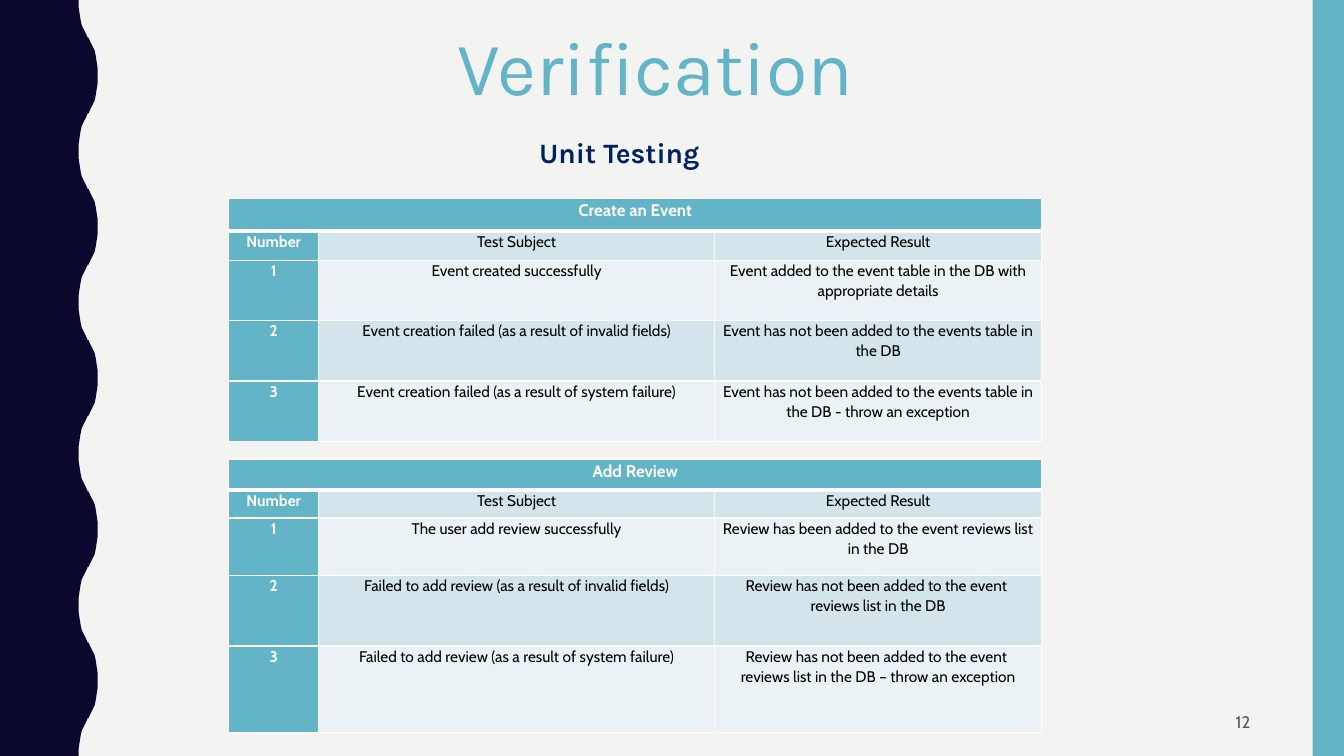
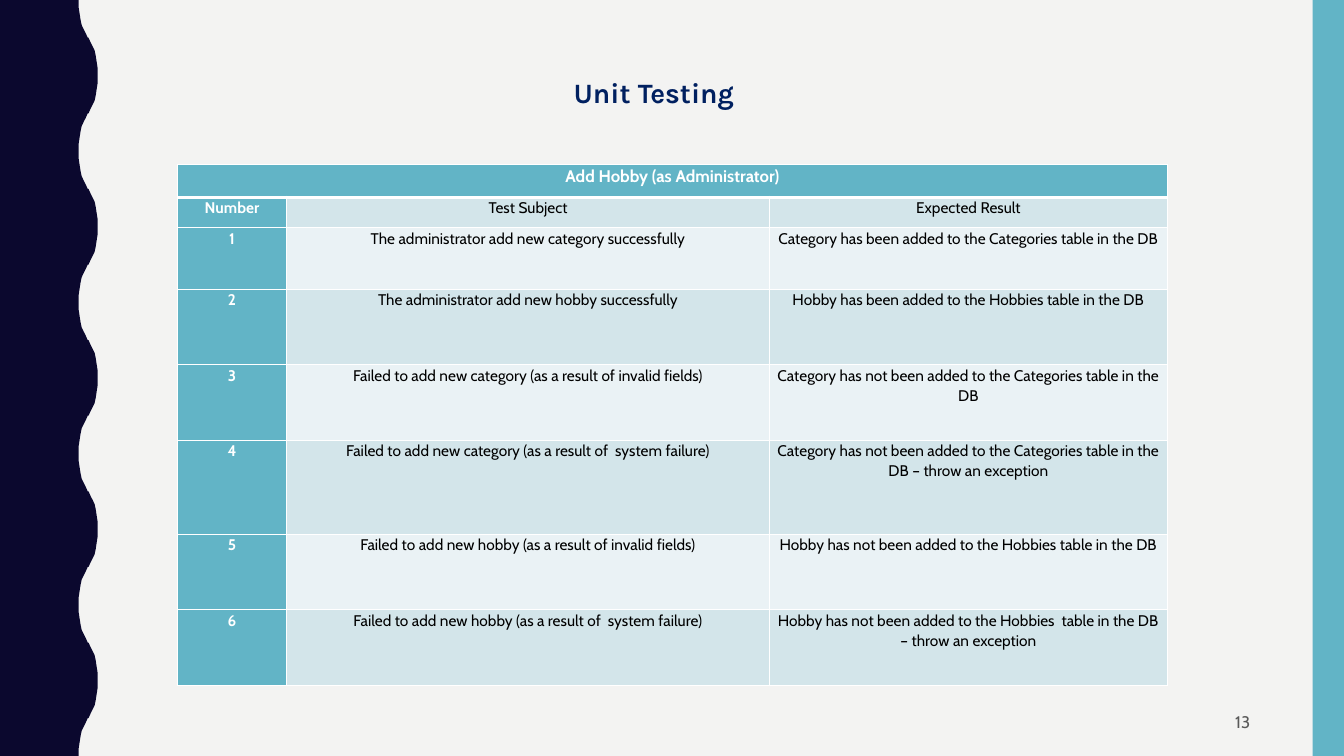
from dataclasses import dataclass

from lxml.etree import SubElement
from pptx import Presentation
from pptx.dml.color import RGBColor
from pptx.enum.shapes import MSO_SHAPE
from pptx.enum.text import MSO_ANCHOR, MSO_AUTO_SIZE, PP_ALIGN
from pptx.oxml.ns import qn
from pptx.util import Inches, Pt


@dataclass(frozen=True)
class Theme:
    paper: str = "F3F3F2"
    night: str = "0B082E"
    teal: str = "62B4C6"
    navy: str = "002060"
    grey: str = "595959"
    white: str = "FFFFFF"
    black: str = "000000"
    bands: tuple = ("D3E5EA", "EAF2F5")
    heading_font: str = "Karla"
    body_font: str = "Cabin"
    title_size: int = 54
    subtitle_size: int = 20
    caption_size: int = 12
    cell_size: int = 11


THEME = Theme()
WIDTH, HEIGHT = Inches(13.33), Inches(7.5)
COLUMN_WEIGHTS = (0.89, 3.93, 3.24)
COLUMN_HEADS = ("Number", "Test Subject", "Expected Result")
WAVE_COUNT = 5
WAVE_CENTRE = 6.56
WAVE_QUARTER = ((5.85, 0), (5.85, 0.93), (5.93, 1.87), (6, 2.67),
                (6.08, 3.33), (6.23, 3.87), (6.38, 4.4), (6.53, 5))

EVENT_TESTS = (
    ("Event created successfully",
     "Event added to the event table in the DB with appropriate details"),
    ("Event creation failed (as a result of invalid fields)",
     "Event has not been added to the events table in the DB"),
    ("Event creation failed (as a result of system failure)",
     "Event has not been added to the events table in the DB - throw an exception"),
)
REVIEW_TESTS = (
    ("The user add review successfully",
     "Review has been added to the event reviews list in the DB"),
    ("Failed to add review (as a result of invalid fields)",
     "Review has not been added to the event  reviews list in the DB"),
    ("Failed to add review (as a result of system failure)",
     "Review has not been added to the event  reviews list in the DB – throw an exception"),
)
HOBBY_TESTS = (
    ("The administrator add new category successfully",
     "Category has been added to the Categories table in the DB"),
    ("The administrator add new hobby successfully",
     "Hobby has been added to the Hobbies table in the DB"),
    ("Failed to add new category (as a result of invalid fields)",
     "Category has not been added to the Categories table in the DB"),
    ("Failed to add new category (as a result of  system failure)",
     "Category has not been added to the Categories table in the DB – throw an exception"),
    ("Failed to add new hobby (as a result of invalid fields)",
     "Hobby has not been added to the Hobbies table in the DB"),
    ("Failed to add new hobby (as a result of  system failure)",
     "Hobby has not been added to the Hobbies  table in the DB – throw an exception"),
)


def across(percent):
    return round(WIDTH * percent / 100)


def down(percent):
    return round(HEIGHT * percent / 100)


def area(left, top, width, height):
    return across(left), down(top), across(width), down(height)


def style_font(font, name, size, color, bold=False):
    font.name, font.size, font.bold = name, Pt(size), bold
    font.color.rgb = RGBColor.from_string(color)


def paint(shape, color):
    shape.fill.solid()
    shape.fill.fore_color.rgb = RGBColor.from_string(color)
    shape.line.fill.background()
    shape.shadow.inherit = False


def wave_points():
    rising = list(WAVE_QUARTER)
    rising += [(2 * WAVE_CENTRE - x, 10 - y) for x, y in reversed(WAVE_QUARTER)]
    wave = rising + [(x, 20 - y) for x, y in reversed(rising)]
    edge = [(x, y + 20 * turn) for turn in range(WAVE_COUNT) for x, y in wave]
    return [(across(x), down(y)) for x, y in edge + [(0, 100)]]


def decorate_master(deck, page):
    master = deck.slide_master
    master.background.fill.solid()
    master.background.fill.fore_color.rgb = RGBColor.from_string(THEME.paper)
    outline = page.shapes.build_freeform(0, 0, scale=1.0)
    outline.add_line_segments(wave_points(), close=True)
    wave_band = outline.convert_to_shape()
    side_band = page.shapes.add_shape(MSO_SHAPE.RECTANGLE, *area(97.67, 0, 2.33, 100))
    for band, color in ((wave_band, THEME.night), (side_band, THEME.teal)):
        paint(band, color)
        master.shapes.element.insert(2, band.element)


def write(box, text, name, size, color, bold=False, align=PP_ALIGN.LEFT,
          anchor=MSO_ANCHOR.TOP, wrap=True):
    frame = box.text_frame
    frame.text = text
    frame.word_wrap = wrap
    frame.auto_size = MSO_AUTO_SIZE.NONE
    frame.vertical_anchor = anchor
    para = frame.paragraphs[0]
    para.alignment = align
    style_font(para.font, name, size, color, bold)


def place_title(page, left, top, width, height):
    title = page.shapes.title
    title.left, title.top, title.width, title.height = area(left, top, width, height)
    return title


def write_subtitle(box):
    write(box, "Unit Testing", THEME.heading_font, THEME.subtitle_size,
          THEME.navy, bold=True, wrap=False)


def add_page_number(page, number):
    box = page.shapes.add_textbox(*area(70.67, 92.93, 23.1, 5.07))
    write(box, str(number), THEME.body_font, THEME.caption_size, THEME.grey,
          align=PP_ALIGN.RIGHT, anchor=MSO_ANCHOR.MIDDLE)


def border_cell(cell, is_caption):
    properties = cell._tc.get_or_add_tcPr()
    for edge in ("lnL", "lnR", "lnT", "lnB"):
        if edge == "lnT" and not is_caption:
            continue
        points = 3 if is_caption and edge == "lnB" else 1
        line = SubElement(properties, qn(f"a:{edge}"), w=str(Pt(points)))
        fill = SubElement(line, qn("a:solidFill"))
        SubElement(fill, qn("a:srgbClr"), val=THEME.white)


def fill_cell(cell, text, row, column):
    is_caption = row == 0
    is_accent = is_caption or column == 0
    border_cell(cell, is_caption)
    cell.fill.solid()
    color = THEME.teal if is_accent else THEME.bands[(row - 1) % 2]
    cell.fill.fore_color.rgb = RGBColor.from_string(color)
    cell.margin_left = cell.margin_right = Inches(0.07)
    cell.margin_top = cell.margin_bottom = 0
    cell.text = text
    para = cell.text_frame.paragraphs[0]
    para.alignment = PP_ALIGN.CENTER
    para.line_spacing, para.space_after = 1.07, Pt(8)
    style_font(para.font, THEME.body_font,
               THEME.caption_size if is_caption else THEME.cell_size,
               THEME.white if is_accent else THEME.black, is_accent)


def add_test_table(page, caption, tests, left, top, width, heights):
    rows = [(caption, "", ""), COLUMN_HEADS]
    rows += [(str(number), *test) for number, test in enumerate(tests, 1)]
    frame = page.shapes.add_table(len(rows), len(COLUMN_HEADS),
                                  *area(left, top, width, sum(heights)))
    table = frame.table
    table.first_col = True
    for column, weight in zip(table.columns, COLUMN_WEIGHTS):
        column.width = across(width * weight / sum(COLUMN_WEIGHTS))
    for row, height in zip(table.rows, heights):
        row.height = down(height)
    for row, texts in enumerate(rows):
        for column, text in enumerate(texts):
            fill_cell(table.cell(row, column), text, row, column)
    table.cell(0, 0).merge(table.cell(0, len(COLUMN_HEADS) - 1))


def build_event_page(page):
    title = place_title(page, 33.3, 2, 35, 13.47)
    write(title, "Verification", THEME.heading_font, THEME.title_size, THEME.teal)
    add_test_table(page, "Create an Event", EVENT_TESTS, 17.03, 26.27, 60.47,
                   (4.27, 3.87, 8, 8, 8))
    add_test_table(page, "Add Review", REVIEW_TESTS, 17.03, 60.8, 60.47,
                   (4, 3.73, 7.6, 9.33, 11.47))
    write_subtitle(page.shapes.add_textbox(*area(39.38, 17.33, 14.33, 5.87)))
    add_page_number(page, 12)


def build_hobby_page(page):
    write_subtitle(place_title(page, 41.93, 9.33, 14.33, 5.87))
    add_test_table(page, "Add Hobby (as Administrator)", HOBBY_TESTS,
                   13.2, 21.73, 73.67, (4.4, 4, 8.13, 10, 10, 12.4, 10, 10))
    add_page_number(page, 13)


def main():
    deck = Presentation()
    deck.slide_width, deck.slide_height = WIDTH, HEIGHT
    title_only = deck.slide_layouts[5]
    event_page, hobby_page = (deck.slides.add_slide(title_only) for _ in range(2))
    decorate_master(deck, event_page)
    build_event_page(event_page)
    build_hobby_page(hobby_page)
    deck.save("out.pptx")


if __name__ == "__main__":
    main()
